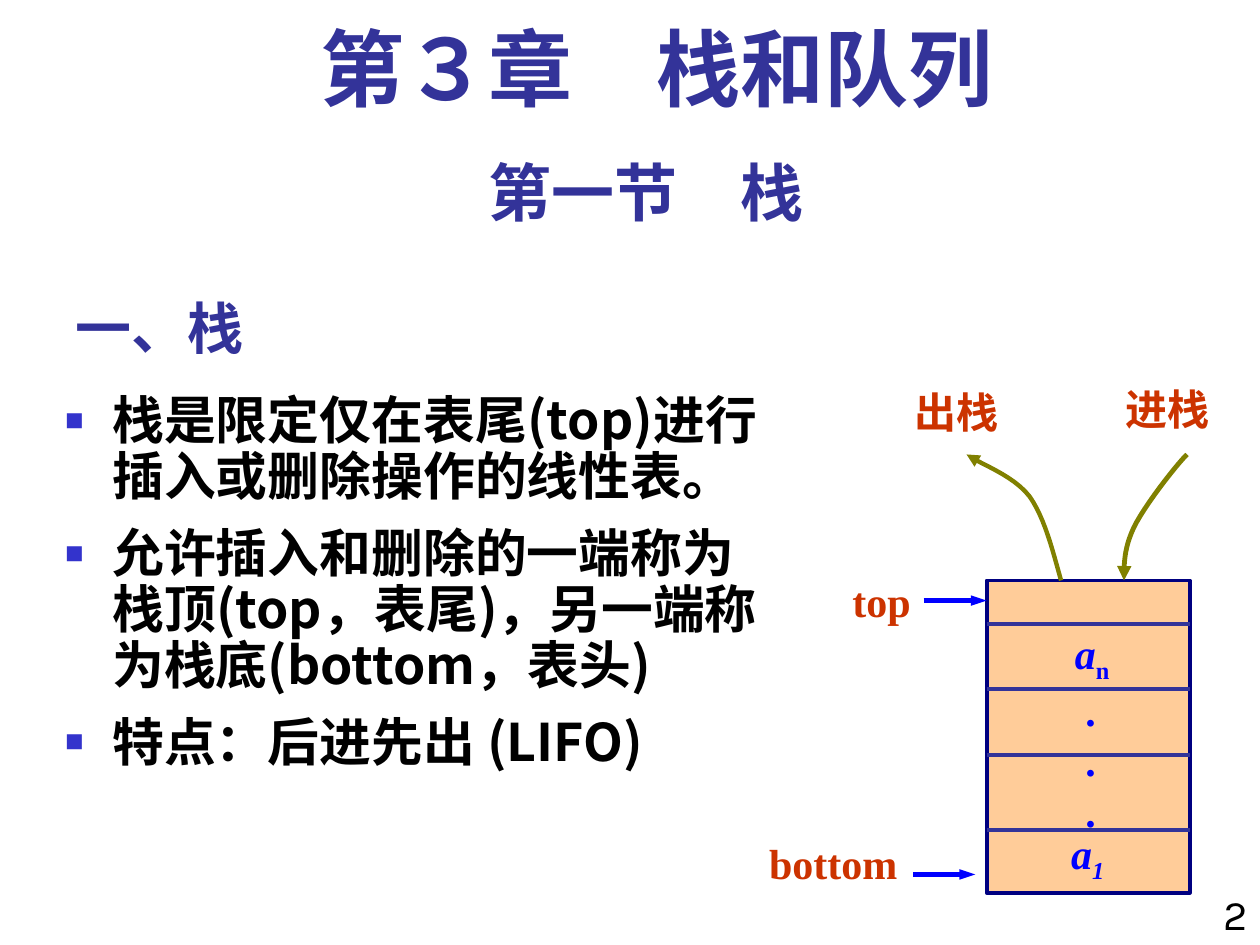
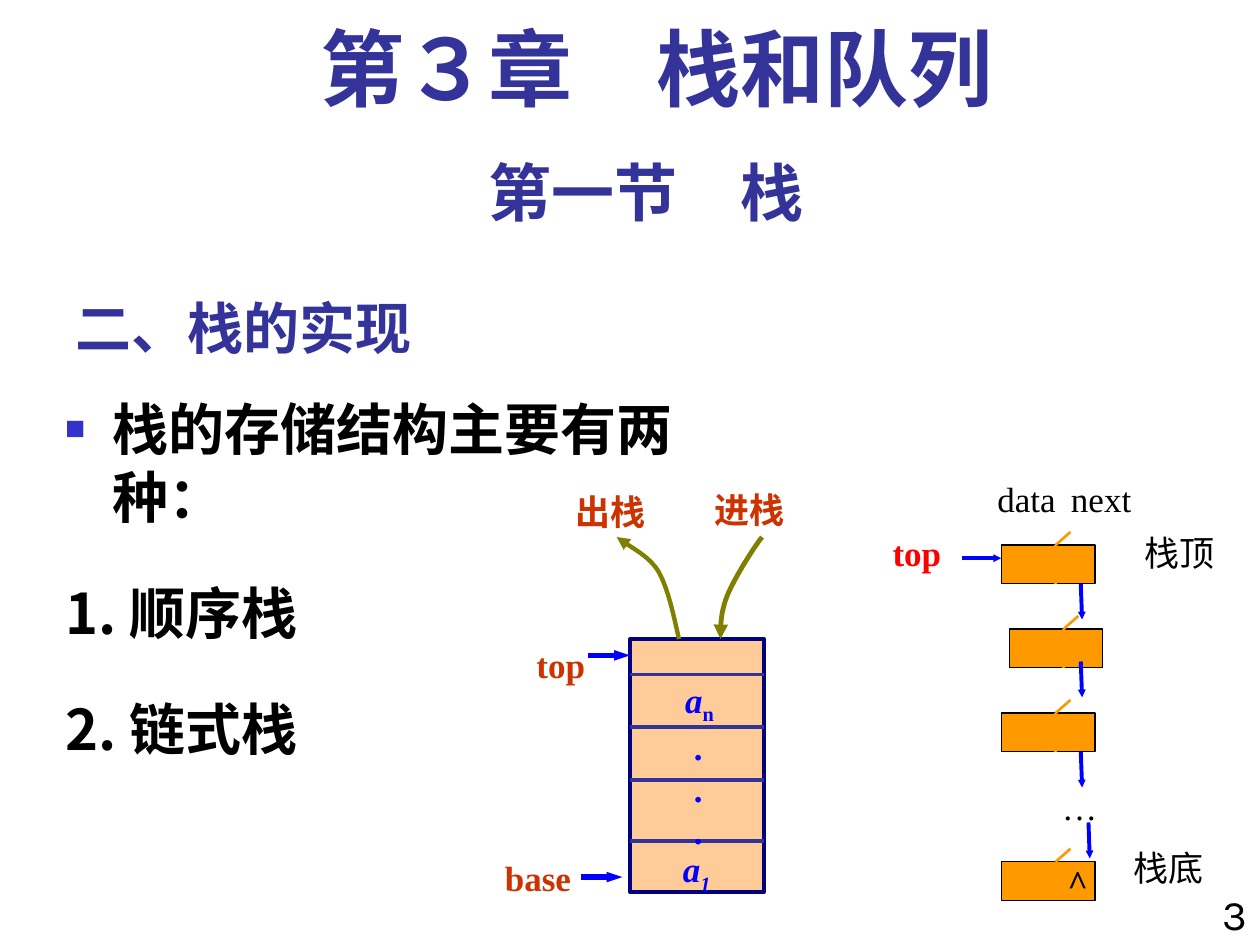
from dataclasses import dataclass
from typing import Any, NamedTuple

from pptx import Presentation
from pptx.dml.color import RGBColor
from pptx.enum.shapes import MSO_CONNECTOR as Connector, MSO_SHAPE as Preset
from pptx.enum.text import MSO_ANCHOR as Anchor, MSO_AUTO_SIZE as AutoSize, PP_ALIGN as Align
from pptx.oxml.ns import qn
from pptx.oxml.xmlchemy import OxmlElement
from pptx.util import Pt


@dataclass(frozen=True)
class Theme:
    heading: str = "333399"
    bullet: str = "3333CC"
    text: str = "000000"
    label: str = "CC3300"
    list_top: str = "FF0000"
    pointer: str = "0000FF"
    curve: str = "808000"
    stack_fill: str = "FFCC99"
    stack_edge: str = "000080"
    node_fill: str = "FF9900"
    sans: str = "Noto Sans CJK SC"
    serif: str = "Times New Roman"
    plain: str = "Karla"
    chapter_size: float = 48
    section_size: float = 36
    title_size: float = 32
    number_size: float = 24
    list_size: float = 20


THEME = Theme()


class Style(NamedTuple):
    size: float
    color: str = THEME.text
    font: str = THEME.serif
    bold: bool = False
    italic: bool = False


class Box(NamedTuple):
    left: float
    top: float
    width: float
    height: float


class Run(NamedTuple):
    text: str
    italic: bool = False
    subscript: bool = False


class Point(NamedTuple):
    x: float
    y: float


class Arrow(NamedTuple):
    width: str = "med"
    length: str = "med"


class Bullets(NamedTuple):
    style: Style
    space_before: float
    line_spacing: float
    items: list[tuple[str, bool]]  # text, has a square bullet


class Stack(NamedTuple):
    frame: Box
    size: float
    bottom_label: str
    label_drop: float


# Stack geometry, measured from the top left corner of a 116 x 178.5 frame
BASE_WIDTH, BASE_HEIGHT = 116, 178.5
DIVIDERS = (25, 62, 99.5, 142.5)
POINTERS = ((-36, 0, 11.5), (-42, -6.5, 168))
POP_CURVE = ((42.5, 0), (37.5, -18), (33, -36), (24.5, -48), (15, -60.5), (-5, -67), (-11.5, -72))
PUSH_CURVE = ((114.5, -72), (108, -65.5), (90, -42.5), (84, -30), (78.5, -18), (78.5, -9.5), (78.5, 0))
LABEL_WIDTH = 90

# Linked list geometry
NODE_WIDTH, NODE_HEIGHT, LINK_X = 53.5, 22, 31
NODES = [Point(572.2, 311.5), Point(576.7, 359.5), Point(572.2, 407.5), Point(572.2, 492.5)]
LINKS = [Point(617.6, 333.5), Point(617.6, 378), Point(617.6, 429.5), Point(622, 470)]
LIST_LABELS = [
    ("data", Point(570, 269.5)), ("next", Point(612, 269.5)), ("…", Point(607, 445.5)),
    ("栈底", Point(648, 480)), ("栈顶", Point(654, 300)),
]


def set_all(target: Any, values: dict[str, Any]) -> None:
    for name, value in values.items():
        setattr(target, name, value)


def add_run(paragraph: Any, part: Run, style: Style) -> None:
    run = paragraph.add_run()
    run.text = part.text
    set_all(run.font, {"size": Pt(style.size), "name": style.font, "bold": style.bold,
                       "italic": style.italic or part.italic})
    run.font.color.rgb = RGBColor.from_string(style.color)
    properties = run.font._element
    east_asian = OxmlElement("a:ea")
    east_asian.set("typeface", THEME.sans)
    properties.find(qn("a:latin")).addnext(east_asian)
    if part.subscript:
        properties.set("baseline", "-25000")


def format_frame(frame: Any, side: float = 0, anchor: Any = Anchor.TOP) -> None:
    set_all(frame, {"word_wrap": True, "auto_size": AutoSize.NONE, "vertical_anchor": anchor,
                    "margin_left": Pt(side), "margin_right": Pt(side),
                    "margin_top": Pt(3.6), "margin_bottom": Pt(3.6)})


def place(shape: Any, box: Box) -> None:
    set_all(shape, {name: Pt(value) for name, value in box._asdict().items()})


def add_text(slide: Any, box: Box, lines: list[list[Run]], style: Style,
             align: Any = Align.LEFT, **paragraph_format: Any) -> None:
    frame = slide.shapes.add_textbox(*map(Pt, box)).text_frame
    format_frame(frame)
    for index, runs in enumerate(lines):
        paragraph = frame.add_paragraph() if index else frame.paragraphs[0]
        set_all(paragraph, {"alignment": align, **paragraph_format})
        for part in runs:
            add_run(paragraph, part, style)


def style_line(line: Any, color: str, width: float, arrow: Arrow | None = None) -> None:
    line.color.rgb = RGBColor.from_string(color)
    line.width = Pt(width)
    if arrow:
        tail = OxmlElement("a:tailEnd")
        for name, value in {"type": "triangle", "w": arrow.width, "len": arrow.length}.items():
            tail.set(name, value)
        line._get_or_add_ln().append(tail)


def add_line(slide: Any, start: Point, end: Point, color: str, width: float,
             arrow: Arrow | None = None) -> None:
    connector = slide.shapes.add_connector(Connector.STRAIGHT, *map(Pt, (*start, *end)))
    style_line(connector.line, color, width, arrow)
    connector._element.spPr.append(OxmlElement("a:effectLst"))


def add_rectangle(slide: Any, box: Box, fill: str, edge: str, width: float) -> Any:
    shape = slide.shapes.add_shape(Preset.RECTANGLE, *map(Pt, box))
    shape.shadow.inherit = False
    shape.fill.solid()
    shape.fill.fore_color.rgb = RGBColor.from_string(fill)
    style_line(shape.line, edge, width)
    return shape


def bezier_points(controls: list[Point], steps: int = 12) -> list[Point]:
    """Sample a chain of cubic curves that share their end points."""
    points = [controls[0]]
    for first in range(0, len(controls) - 1, 3):
        section = controls[first:first + 4]
        for step in range(1, steps + 1):
            t = step / steps
            weights = ((1 - t) ** 3, 3 * t * (1 - t) ** 2, 3 * t * t * (1 - t), t ** 3)
            points.append(Point(sum(w * p.x for w, p in zip(weights, section)),
                                sum(w * p.y for w, p in zip(weights, section))))
    return points


def add_curve(slide: Any, controls: list[Point], width: float) -> None:
    start, *rest = [(Pt(p.x), Pt(p.y)) for p in bezier_points(controls)]
    builder = slide.shapes.build_freeform(*start)
    builder.add_line_segments(rest, close=False)
    shape = builder.convert_to_shape()
    shape.shadow.inherit = False
    shape.fill.background()
    style_line(shape.line, THEME.curve, width, Arrow())


def draw_stack(slide: Any, stack: Stack) -> None:
    frame = stack.frame

    def at(x: float, y: float) -> Point:
        return Point(frame.left + x * frame.width / BASE_WIDTH,
                     frame.top + y * frame.height / BASE_HEIGHT)

    # Frame, dividers and pointers
    add_rectangle(slide, frame, THEME.stack_fill, THEME.stack_edge, 2.25)
    for y in DIVIDERS:
        add_line(slide, at(0, y), at(BASE_WIDTH, y), THEME.heading, 2.25)
    for start, end, y in POINTERS:
        add_line(slide, at(start, y), at(end, y), THEME.pointer, 3, Arrow(width="sm"))
    for curve, width in ((POP_CURVE, 2.5), (PUSH_CURVE, 2.75)):
        add_curve(slide, [at(*point) for point in curve], width)

    # Stack elements
    element = Style(stack.size, THEME.pointer, bold=True)
    dots = [[Run(".", italic=True)] for _ in range(3)]
    top_element = [Run("a", italic=True), Run("n", subscript=True)]
    first_element = [Run("a", italic=True), Run("1", italic=True, subscript=True)]
    for lines, (x, y), drop in (([top_element, *dots], at(60.3, 23.2), 0),
                                ([first_element], at(57.8, 137.5), stack.label_drop)):
        box = Box(x - 30, y + drop, 60, len(lines) * stack.size * 1.2 + 8)
        add_text(slide, box, lines, element, Align.CENTER)

    # Labels, anchored at their centre or right end
    label = Style(stack.size, THEME.label, bold=True)
    for text, (x, y), align in (("top", at(-60, -6.5), Align.CENTER),
                                (stack.bottom_label, at(-51, 143.5), Align.RIGHT),
                                ("进栈", at(103.3, -116), Align.CENTER),
                                ("出栈", at(-17, -114.5), Align.CENTER)):
        left = x - LABEL_WIDTH / (1 if align == Align.RIGHT else 2)
        box = Box(left, y + stack.label_drop, LABEL_WIDTH, stack.size * 1.5)
        add_text(slide, box, [[Run(text)]], label, align)


def draw_linked_list(slide: Any) -> None:
    # Nodes with their link mark
    for node in NODES:
        shape = add_rectangle(slide, Box(*node, NODE_WIDTH, NODE_HEIGHT),
                              THEME.node_fill, THEME.text, 0.75)
        if node is NODES[-1]:
            format_frame(shape.text_frame, side=4, anchor=Anchor.MIDDLE)
            paragraph = shape.text_frame.paragraphs[0]
            paragraph.alignment = Align.RIGHT
            add_run(paragraph, Run("^"), Style(THEME.list_size, bold=True))
        corner = Point(node.x + LINK_X, node.y)
        for dx, dy in ((0, NODE_HEIGHT), (8.5, -7.5)):
            add_line(slide, corner, Point(corner.x + dx, corner.y + dy), THEME.node_fill, 1.5)

    # Pointers
    small = Arrow("sm", "sm")
    add_line(slide, Point(550, 319), Point(572.2, 319), THEME.pointer, 2.25, small)
    for start in LINKS:
        add_line(slide, start, Point(start.x + 0.75, start.y + 20.5), THEME.pointer, 2.25, small)

    # Labels
    for text, corner in LIST_LABELS:
        add_text(slide, Box(*corner, 50, 32), [[Run(text)]], Style(THEME.list_size))
    add_text(slide, Box(510, 300, 35, 32), [[Run("top")]],
             Style(THEME.list_size, THEME.list_top, bold=True))


def format_bullet(paragraph: Any, bulleted: bool) -> None:
    properties = paragraph._p.get_or_add_pPr()
    for name, value in {"marL": Pt(27), "indent": -Pt(27), "hangingPunct": 0}.items():
        properties.set(name, str(value))
    if not bulleted:
        properties.append(OxmlElement("a:buNone"))
        return
    color = OxmlElement("a:buClr")
    value = OxmlElement("a:srgbClr")
    value.set("val", THEME.bullet)
    color.append(value)
    properties.append(color)
    for tag, name, setting in (("a:buSzPct", "val", "60000"), ("a:buFont", "typeface", THEME.serif),
                               ("a:buChar", "char", "■")):
        element = OxmlElement(tag)
        element.set(name, setting)
        properties.append(element)


def add_content_slide(presentation: Any, number: int, title: str, bullets: Bullets) -> Any:
    slide = presentation.slides.add_slide(presentation.slide_layouts[1])

    # Title and list
    heading, body = slide.shapes.title, slide.placeholders[1]
    place(heading, Box(36, 156, 450, 54))
    format_frame(heading.text_frame, side=7.2, anchor=Anchor.BOTTOM)
    paragraph = heading.text_frame.paragraphs[0]
    paragraph.alignment = Align.LEFT
    add_run(paragraph, Run(title), Style(THEME.title_size, THEME.heading, THEME.sans, bold=True))

    place(body, Box(30, 222, 414, 306))
    format_frame(body.text_frame, side=7.2)
    for index, (text, bulleted) in enumerate(bullets.items):
        paragraph = body.text_frame.add_paragraph() if index else body.text_frame.paragraphs[0]
        set_all(paragraph, {"space_before": Pt(bullets.space_before),
                            "line_spacing": bullets.line_spacing})
        format_bullet(paragraph, bulleted)
        add_run(paragraph, Run(text), bullets.style)

    # Chapter, section and slide number
    add_text(slide, Box(48, 12.5, 654, 60), [[Run("第３章　栈和队列")]],
             Style(THEME.chapter_size, THEME.heading, bold=True),
             Align.CENTER, line_spacing=0.9, space_before=Pt(12))
    add_text(slide, Box(36, 84, 666, 50), [[Run("第一节　栈")]],
             Style(THEME.section_size, THEME.heading, THEME.plain, bold=True),
             Align.CENTER, space_before=Pt(22.5))
    add_text(slide, Box(672, 504, 40.8, 36), [[Run(str(number))]],
             Style(THEME.number_size, font=THEME.plain), Align.RIGHT, space_before=Pt(15))
    return slide


def main() -> None:
    presentation = Presentation()
    set_all(presentation, {"slide_width": Pt(720), "slide_height": Pt(540)})

    # Definition of the stack
    definition = Bullets(Style(29.6, font=THEME.sans, bold=True), 12, 0.9, [
        ("栈是限定仅在表尾(top)进行插入或删除操作的线性表。", True),
        ("允许插入和删除的一端称为栈顶(top，表尾)，另一端称为栈底(bottom，表头)", True),
        ("特点：后进先出 (LIFO)", True)])
    slide = add_content_slide(presentation, 2, "一、栈", definition)
    draw_stack(slide, Stack(Box(563.8, 331.7, BASE_WIDTH, BASE_HEIGHT), 24, "bottom", 0))

    # Implementations of the stack
    storage = Bullets(Style(32, font=THEME.sans, bold=True), 28, 1.0, [
        ("栈的存储结构主要有两种：", True), ("1. 顺序栈", False), ("2. 链式栈", False)])
    slide = add_content_slide(presentation, 3, "二、栈的实现", storage)
    draw_stack(slide, Stack(Box(360, 365.2, 76.5, 144.5), 20, "base", 4.5))
    draw_linked_list(slide)

    presentation.save("out.pptx")


if __name__ == "__main__":
    main()
